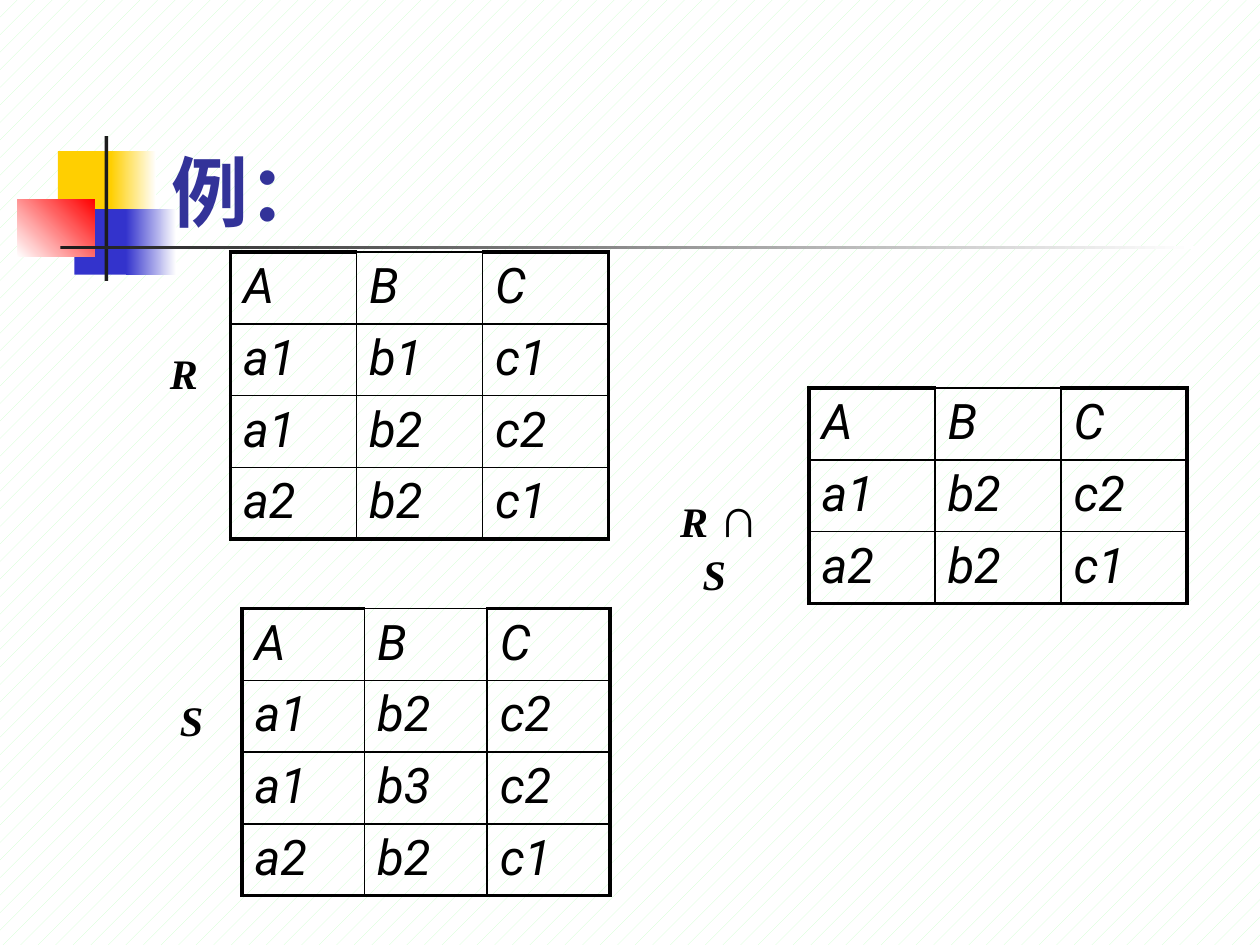
import pptx
import pptx.util
import pptx.dml.color
import pptx.enum.dml
import pptx.enum.shapes
import pptx.enum.text
import pptx.oxml
import pptx.oxml.ns

Inches = pptx.util.Inches
Pt = pptx.util.Pt
RGBColor = pptx.dml.color.RGBColor

BLACK = RGBColor(0x00, 0x00, 0x00)
WHITE = RGBColor(0xFF, 0xFF, 0xFF)
MINT = RGBColor(0xCC, 0xFF, 0xCC)
YELLOW = RGBColor(0xFF, 0xCF, 0x01)
BLUE = RGBColor(0x33, 0x33, 0xCC)
RED = RGBColor(0xFF, 0x00, 0x00)
CHARCOAL = RGBColor(0x1C, 0x1C, 0x1C)
NAVY = RGBColor(0x33, 0x33, 0x99)


class Deck:
    title_font = cell_font = "Roboto"
    label_font = "Times New Roman"
    row_height = 0.57
    thick, thin = 2.25, 1

    def __init__(self, prs):
        self.s = prs.slides.add_slide(prs.slide_layouts[5])

    def background(self, fore, back):
        fill = self.s.background.fill
        fill.patterned()
        fill.pattern = pptx.enum.dml.MSO_PATTERN.PERCENT_5
        fill.fore_color.rgb = fore
        fill.back_color.rgb = back

    def style(self, p, name, color, size=None, bold=None, italic=None):
        f = p.font
        f.name, f.size, f.bold, f.italic = name, size, bold, italic
        f.color.rgb = color

    def title(self, text, x, y, w, h):
        sp = self.s.shapes.title
        sp.left, sp.top, sp.width, sp.height = map(Inches, (x, y, w, h))
        tf = sp.text_frame
        tf.text = text
        tf.vertical_anchor = pptx.enum.text.MSO_ANCHOR.BOTTOM
        p = tf.paragraphs[0]
        p.alignment = pptx.enum.text.PP_ALIGN.LEFT
        self.style(p, self.title_font, NAVY, Pt(44), bold=True)

    def block(self, x, y, w, h, start, end=None, angle=0):
        rect = pptx.enum.shapes.MSO_SHAPE.RECTANGLE
        sp = self.s.shapes.add_shape(rect, *map(Inches, (x, y, w, h)))
        sp.shadow.inherit = False
        sp.line.fill.background()
        if end is None:
            sp.fill.solid()
            sp.fill.fore_color.rgb = start
            return
        sp.fill.gradient()
        sp.fill.gradient_angle = angle
        for stop, position, color in zip(sp.fill.gradient_stops, (0, 1), (start, end)):
            stop.position = position
            stop.color.rgb = color

    def label(self, x, y, w, runs):
        sp = self.s.shapes.add_textbox(*map(Inches, (x, y, w, 0.92)))
        tf = sp.text_frame
        tf.word_wrap = False
        tf.vertical_anchor = pptx.enum.text.MSO_ANCHOR.MIDDLE
        p = tf.paragraphs[0]
        p.alignment = pptx.enum.text.PP_ALIGN.CENTER
        self.style(p, self.label_font, BLACK, bold=True)
        for text, size, italic in runs:
            r = p.add_run()
            r.text = text
            r.font.size, r.font.italic = Pt(size), italic

    def borders(self, cell, thick_sides):
        tcPr = cell._tc.get_or_add_tcPr()
        for side, is_thick in zip("LRTB", thick_sides):
            width = Pt(self.thick if is_thick else self.thin)
            tcPr.append(pptx.oxml.parse_xml(
                f'<a:ln{side} {pptx.oxml.ns.nsdecls("a")} w="{width}">'
                f'<a:solidFill><a:srgbClr val="{BLACK}"/></a:solidFill></a:ln{side}>'))

    def relation(self, x, y, w, tuples):
        rows = ["A B C"] + tuples
        last_row, last_col = len(rows) - 1, 2
        height = self.row_height * len(rows)
        table = self.s.shapes.add_table(
            len(rows), 3, *map(Inches, (x, y, w, height))).table
        table.first_row = table.horz_banding = False
        for i, row in enumerate(rows):
            for j, text in enumerate(row.split()):
                cell = table.cell(i, j)
                cell.text = text
                self.style(cell.text_frame.paragraphs[0], self.cell_font,
                           BLACK, Pt(28), italic=True)
                self.borders(cell, (j == 0, j == last_col,
                                    i == 0 and j != 1, i == last_row))
                cell.fill.background()


def main():
    prs = pptx.Presentation()
    prs.slide_width, prs.slide_height = Inches(10), Inches(7.5)
    deck = Deck(prs)
    deck.background(MINT, WHITE)

    deck.block(0.46, 1.2, 0.48, 0.52, YELLOW)
    deck.block(0.88, 1.2, 0.36, 0.52, YELLOW, WHITE)
    deck.block(0.59, 1.66, 0.46, 0.52, BLUE)
    deck.block(1, 1.66, 0.4, 0.52, BLUE, WHITE)
    deck.block(0.14, 1.58, 0.61, 0.46, WHITE, RED, 45)
    deck.block(0.83, 1.08, 0.03, 1.15, CHARCOAL)
    deck.block(0.48, 1.95, 9, 0.03, CHARCOAL, WHITE)

    deck.title("例：", 1.26, 0.68, 8.52, 1.25)

    deck.relation(1.83, 2, 3, ["a1 b1 c1", "a1 b2 c2", "a2 b2 c1"])
    deck.relation(6.42, 3.08, 3, ["a1 b2 c2", "a2 b2 c1"])
    deck.relation(1.92, 4.83, 2.92, ["a1 b2 c2", "a1 b3 c2", "a2 b2 c1"])

    deck.label(1.25, 2.5, 0.33, [("R", 24, True)])
    deck.label(1.33, 5.25, 0.33, [("S", 24, True)])
    deck.label(5.25, 3.83, 0.92,
               [("R ", 24, True), ("∩", 32, False), (" S ", 24, True)])

    prs.save("out.pptx")


if __name__ == "__main__":
    main()
